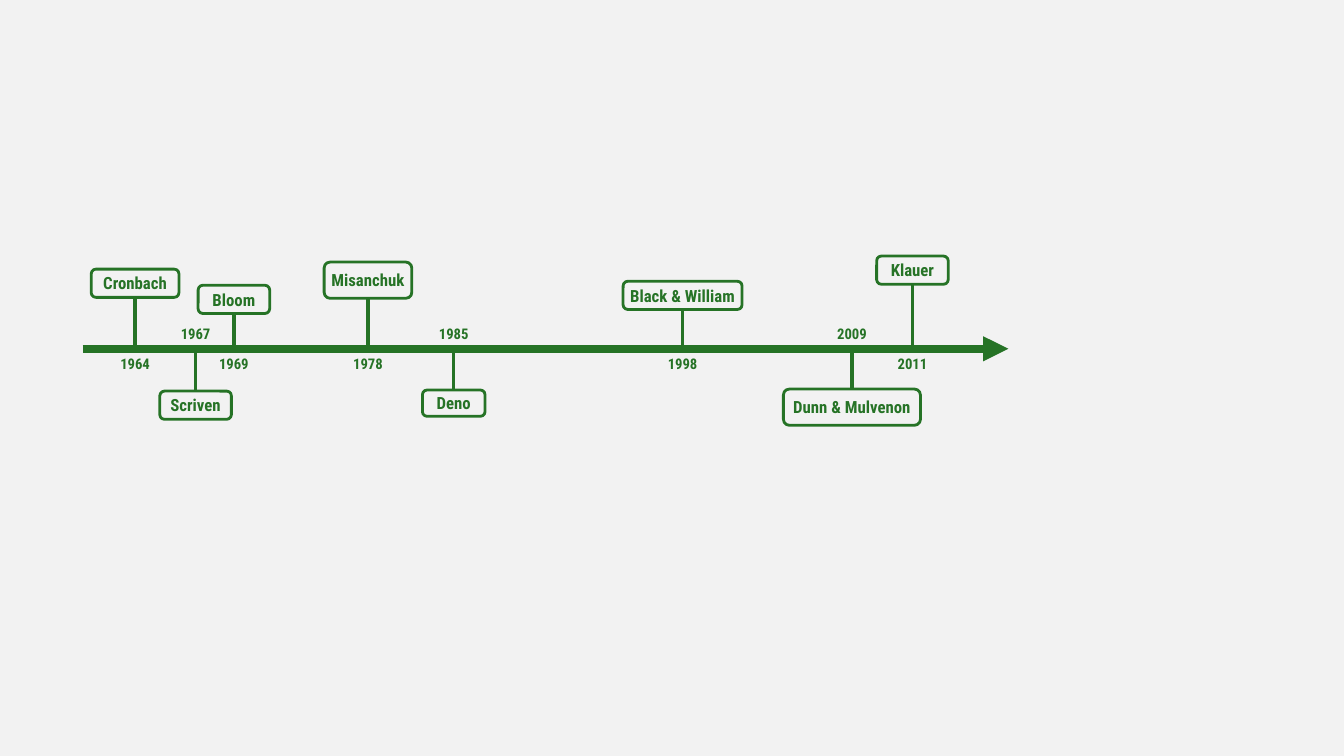
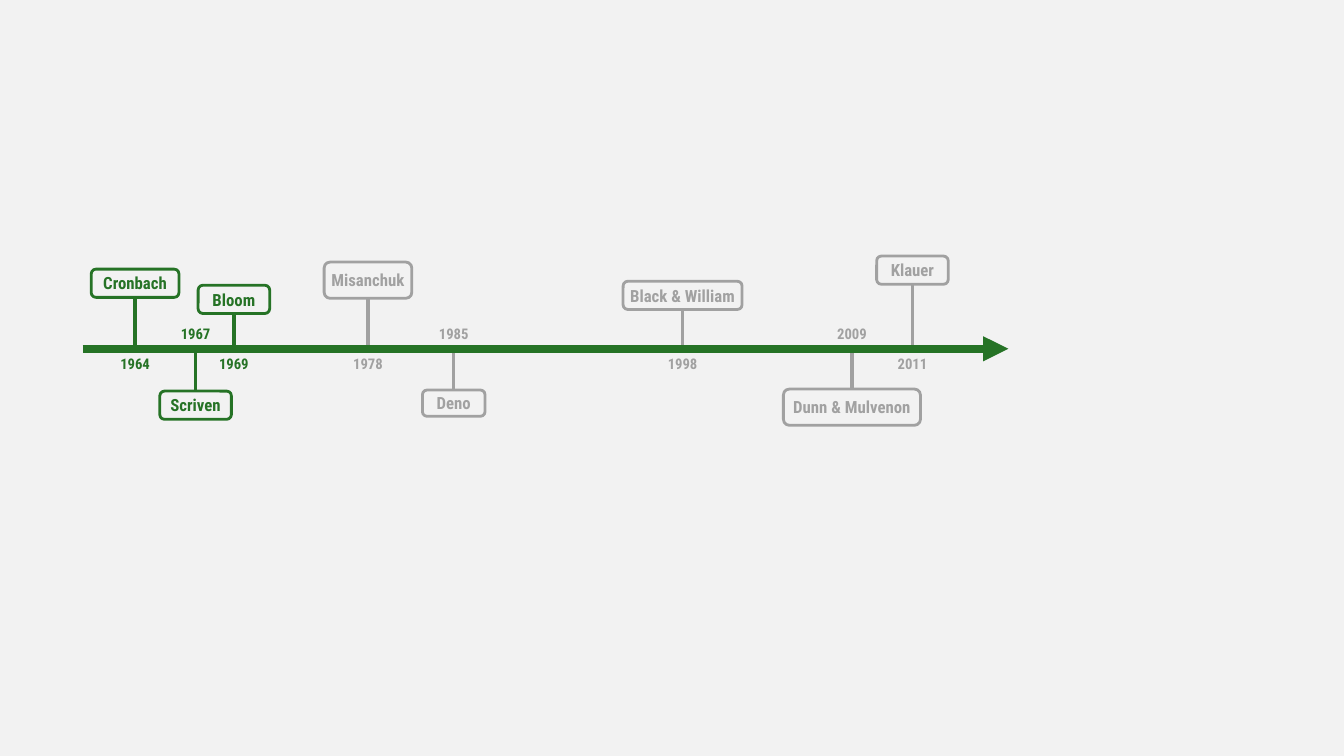
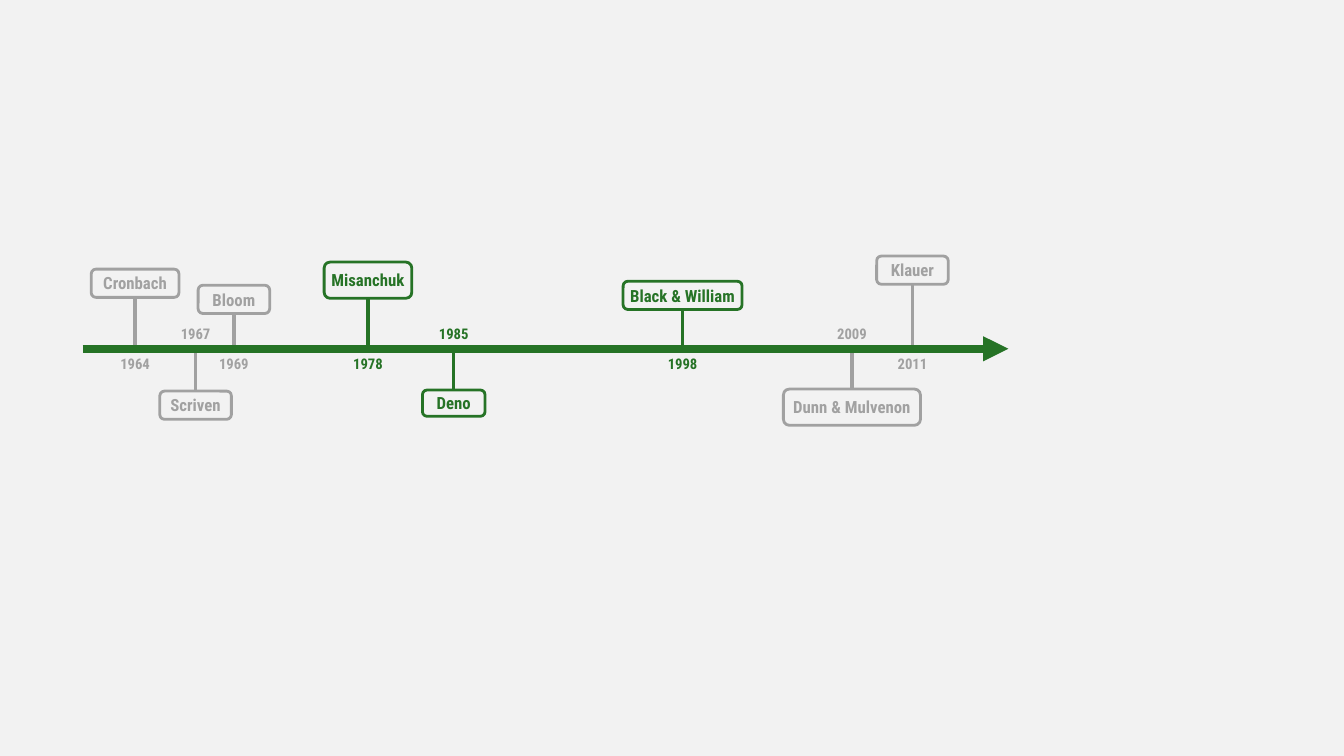
import dataclasses

import lxml.etree
import pptx
import pptx.dml.color
import pptx.enum.shapes
import pptx.enum.text
import pptx.oxml.ns
import pptx.util

Inches = pptx.util.Inches
Pt = pptx.util.Pt


@dataclasses.dataclass(frozen=True)
class Theme:
    paper: str = "F2F2F2"
    active: str = "267326"
    dimmed: str = "A1A1A1"
    font: str = "Roboto Condensed"
    name_size: float = 12
    year_size: float = 10.5
    axis_width: float = 6
    stem_width: float = 2.5
    border_width: float = 2


@dataclasses.dataclass(frozen=True)
class Box:
    left: float
    top: float
    width: float
    height: float

    def lengths(self):
        return [Inches(value) for value in dataclasses.astuple(self)]


@dataclasses.dataclass(frozen=True)
class Milestone:
    year: str
    name: str
    offset: float
    stem: float
    width: float
    height: float = 0.28
    above: bool = True


THEME = Theme()
TIMELINE = Box(0.82, 2.54, 9.18, 1.68)
AXIS_DROP = 0.92
YEAR_WIDTH, YEAR_HEIGHT, YEAR_GAP = 0.57, 0.18, 0.06

MILESTONES = [
    Milestone("1964", "Cronbach", 0.52, 0.51, 0.87),
    Milestone("1967", "Scriven", 1.12, 0.42, 0.71, above=False),
    Milestone("1969", "Bloom", 1.5, 0.35, 0.71),
    Milestone("1978", "Misanchuk", 2.83, 0.5, 0.87, 0.36),
    Milestone("1985", "Deno", 3.68, 0.41, 0.62, 0.26, above=False),
    Milestone("1998", "Black & William", 5.95, 0.39, 1.18),
    Milestone("2009", "Dunn & Mulvenon", 7.63, 0.4, 1.36, 0.36, above=False),
    Milestone("2011", "Klauer", 8.23, 0.64, 0.71),
]

ACTIVE_YEARS = [
    {milestone.year for milestone in MILESTONES},
    {"1964", "1967", "1969"},
    {"1978", "1985", "1998"},
]


def rgb(color):
    return pptx.dml.color.RGBColor.from_string(color)


def set_format(target, values):
    for name, value in values.items():
        setattr(target, name, value)


def write_text(shape, text, size, color, autosize):
    frame = shape.text_frame
    set_format(frame, {
        "margin_left": 0, "margin_right": 0, "margin_top": 0, "margin_bottom": 0,
        "word_wrap": True, "auto_size": autosize,
    })
    para = frame.paragraphs[0]
    para.alignment = pptx.enum.text.PP_ALIGN.CENTER
    span = para.add_run()
    span.text = text
    set_format(span.font, {"name": THEME.font, "size": Pt(size), "bold": True})
    span.font.color.rgb = rgb(color)


def add_line(page, start, end, color, width, arrow=False):
    ends = [Inches(value) for value in (*start, *end)]
    line = page.shapes.add_connector(pptx.enum.shapes.MSO_CONNECTOR.STRAIGHT, *ends)
    line.line.color.rgb = rgb(color)
    line.line.width = Pt(width)
    properties = line.element.spPr
    qn = pptx.oxml.ns.qn
    if arrow:
        lxml.etree.SubElement(properties.find(qn("a:ln")), qn("a:tailEnd"), type="triangle")
    lxml.etree.SubElement(properties, qn("a:effectLst"))


def add_name(page, box, text, color):
    kind = pptx.enum.shapes.MSO_SHAPE.ROUNDED_RECTANGLE
    shape = page.shapes.add_shape(kind, *box.lengths())
    shape.shadow.inherit = False
    shape.fill.background()
    shape.line.color.rgb = rgb(color)
    shape.line.width = Pt(THEME.border_width)
    write_text(shape, text, THEME.name_size, color, pptx.enum.text.MSO_AUTO_SIZE.NONE)
    shape.text_frame.vertical_anchor = pptx.enum.text.MSO_ANCHOR.MIDDLE


def add_year(page, box, text, color):
    shape = page.shapes.add_textbox(*box.lengths())
    fit = pptx.enum.text.MSO_AUTO_SIZE.SHAPE_TO_FIT_TEXT
    write_text(shape, text, THEME.year_size, color, fit)


def add_milestone(page, area, milestone, color):
    center = area.left + milestone.offset
    axis = area.top + AXIS_DROP
    if milestone.above:
        stem_end = axis - milestone.stem
        name_top = stem_end - milestone.height
        year_top = axis + YEAR_GAP
    else:
        stem_end = name_top = axis + milestone.stem
        year_top = axis - YEAR_GAP - YEAR_HEIGHT
    add_line(page, (center, axis), (center, stem_end), color, THEME.stem_width)
    year_box = Box(center - YEAR_WIDTH / 2, year_top, YEAR_WIDTH, YEAR_HEIGHT)
    add_year(page, year_box, milestone.year, color)
    name_box = Box(center - milestone.width / 2, name_top, milestone.width, milestone.height)
    add_name(page, name_box, milestone.name, color)


def add_timeline(page, area, active_years):
    for milestone in MILESTONES:
        if milestone.year not in active_years:
            add_milestone(page, area, milestone, THEME.dimmed)
    axis = area.top + AXIS_DROP
    add_line(page, (area.left, axis), (area.left + area.width, axis),
             THEME.active, THEME.axis_width, arrow=True)
    for milestone in MILESTONES:
        if milestone.year in active_years:
            add_milestone(page, area, milestone, THEME.active)


def main():
    deck = pptx.Presentation()
    set_format(deck, {"slide_width": Inches(13.33), "slide_height": Inches(7.5)})
    paper = deck.slide_master.background.fill
    paper.solid()
    paper.fore_color.rgb = rgb(THEME.paper)
    blank = deck.slide_layouts.get_by_name("Blank")
    for active_years in ACTIVE_YEARS:
        add_timeline(deck.slides.add_slide(blank), TIMELINE, active_years)
    deck.save("out.pptx")


if __name__ == "__main__":
    main()
